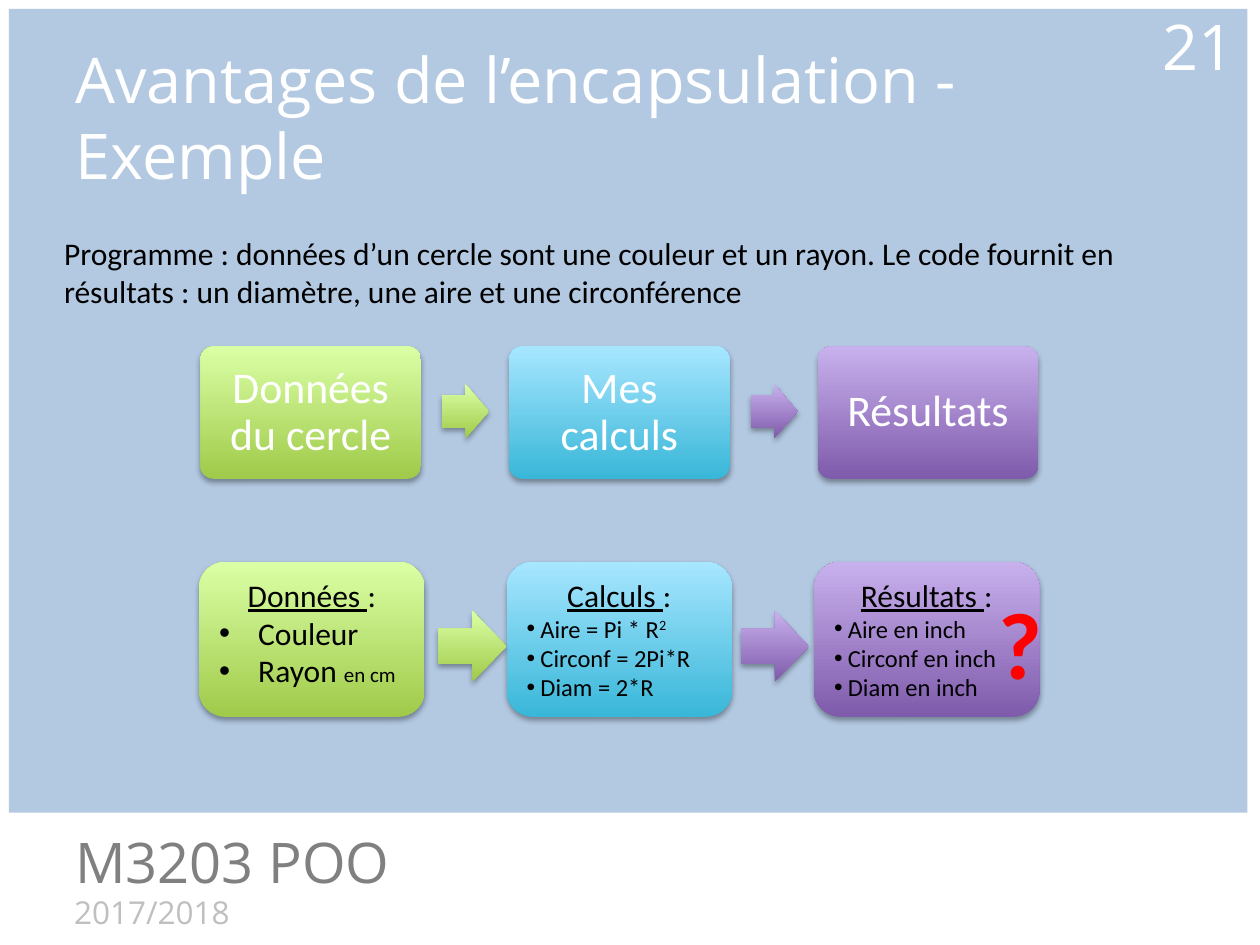
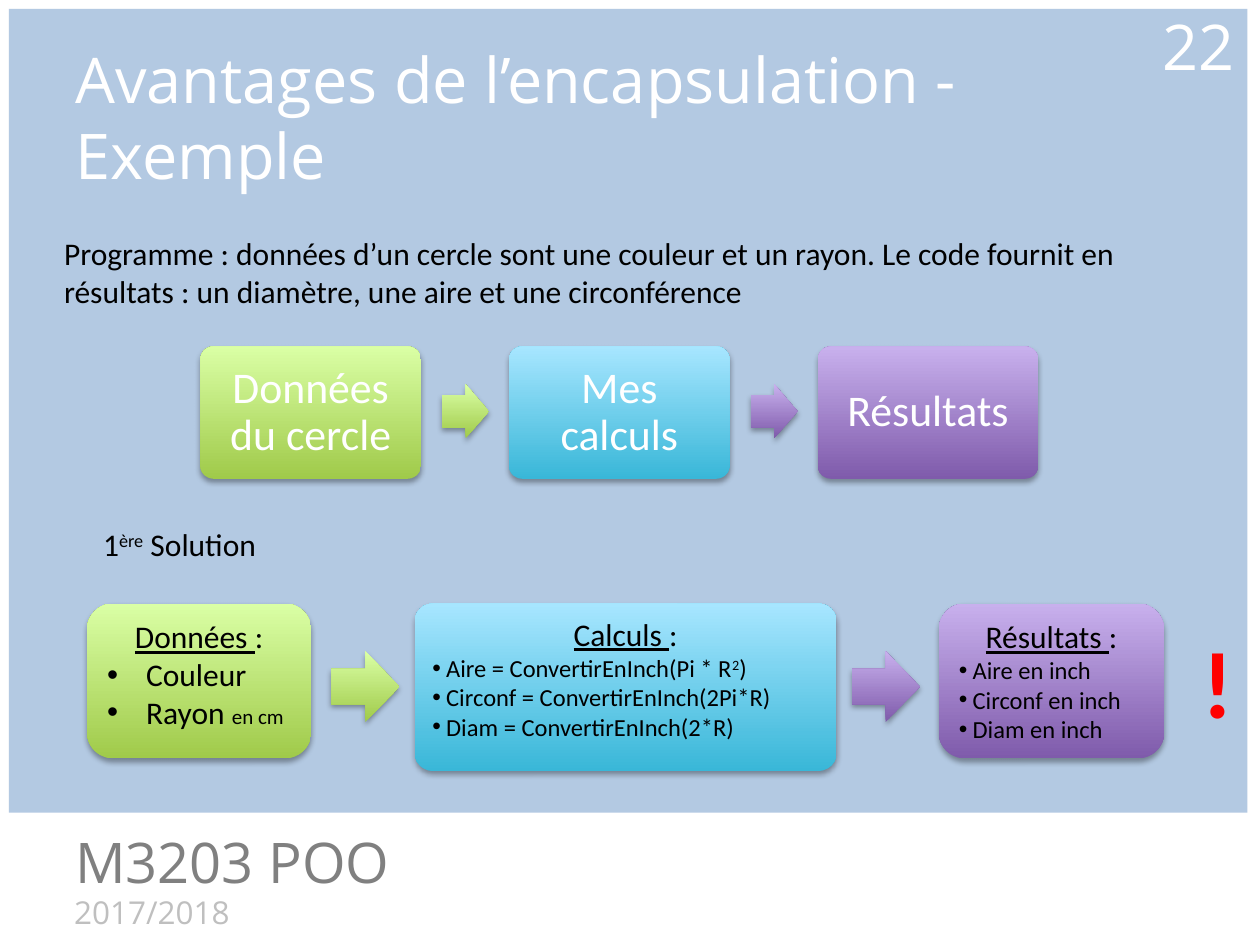
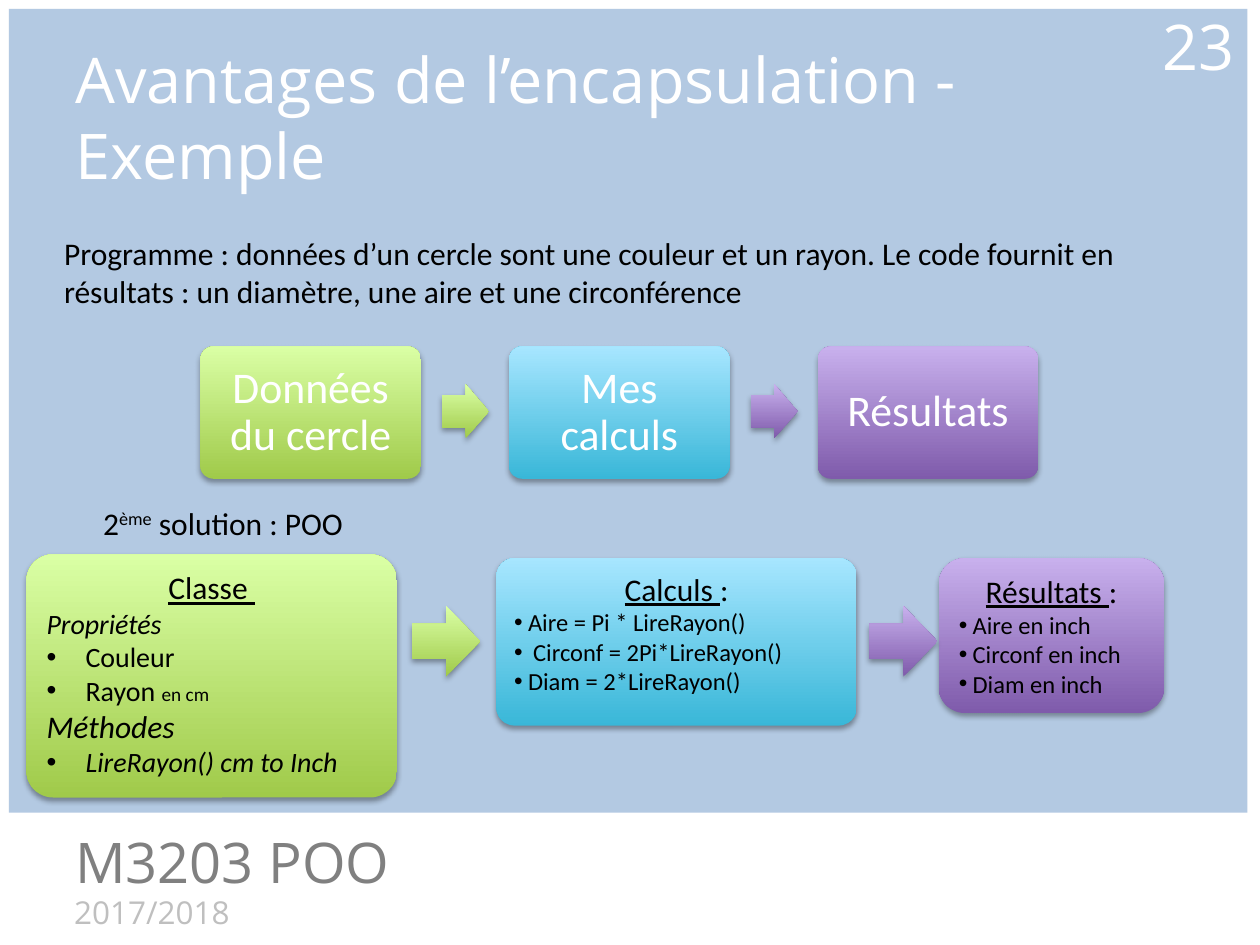
from dataclasses import dataclass
from typing import Optional

from lxml import etree
from pptx import Presentation
from pptx import util as u
from pptx.dml import color
from pptx.enum import shapes, text
from pptx.oxml import ns

SCALE = 9144  # EMU in one px, 100 px to the inch
BODY_FONT, TITLE_FONT = "Calibri", "Open Sans"
WHITE, BLACK, RED = "FFFFFF", "000000", "FF0000"
BAND, COURSE_GREY, YEAR_GREY = "95B3D7", "808080", "BFBFBF"
# Gradients, from bottom to top
GREEN = ("A0CA4A", "DAFFA5")
BLUE = ("39B7D8", "A7E6FF")
PURPLE = ("7F5BAB", "C8B0ED")
LEFT, CENTER, RIGHT = text.PP_ALIGN.LEFT, text.PP_ALIGN.CENTER, text.PP_ALIGN.RIGHT
TOP, MIDDLE = text.MSO_ANCHOR.TOP, text.MSO_ANCHOR.MIDDLE


def px(length):
    return u.Emu(length * SCALE)


def rgb(code):
    return color.RGBColor.from_string(code)


def add_xml(parent, tag, **attributes):
    return etree.SubElement(parent, ns.qn(tag), attributes)


@dataclass
class Line:
    """One paragraph; each span is a string or a (string, style) pair."""
    spans: list
    size: int = 18
    align: int = LEFT
    indent: int = 0  # hanging indent of a bullet, in px
    ink: str = BLACK
    font: str = BODY_FONT
    bold: Optional[bool] = None
    italic: Optional[bool] = None
    spacing: Optional[float] = None


class Slides:
    """Holds the deck, its style and the current page."""

    def __init__(self):
        self.deck = Presentation()
        self.deck.slide_width, self.deck.slide_height = px(1000), px(750)
        self.layout = self.deck.slide_layouts[5]
        self.page = None

    def new_page(self, title, number):
        first = self.page is None
        self.page = self.deck.slides.add_slide(self.layout)
        if first:
            self.dress_layout()
        box = self.page.shapes.title
        self.place(box, 50, 30, 900, 125)
        self.fill_text(box, [Line([title], 36, ink=WHITE, font=TITLE_FONT)], MIDDLE)
        self.text_box(863, 7, 127, 58,
                      Line([str(number)], 36, RIGHT, ink=WHITE, font=TITLE_FONT), MIDDLE)

    def dress_layout(self):
        """Put the band and the footers on the layout."""
        for holder in list(self.layout.placeholders):
            if holder.placeholder_format.idx:
                holder.element.getparent().remove(holder.element)
        band = self.shape(shapes.MSO_SHAPE.RECTANGLE, 7, 7, 983, 638)
        band.fill.solid()
        band.fill.fore_color.rgb = rgb(BAND)
        tint = band.element.find(".//" + ns.qn("a:srgbClr"))
        add_xml(tint, "a:alpha", val="71000")
        year = self.text_box(49, 704, 400, 40,
                             Line(["2017/2018"], ink=YEAR_GREY, font=TITLE_FONT))
        course = self.text_box(50, 652, 512, 64,
                               Line(["M3203 POO"], 32, ink=COURSE_GREY, font=TITLE_FONT))
        for part in (band, year, course):
            self.layout.shapes.element.append(part.element)

    def place(self, box, x, y, width, height):
        box.left, box.top, box.width, box.height = map(px, (x, y, width, height))

    def fill_text(self, box, lines, anchor=TOP, wrap=True):
        frame = box.text_frame
        frame.auto_size = text.MSO_AUTO_SIZE.NONE
        frame.word_wrap, frame.vertical_anchor = wrap, anchor
        for index, line in enumerate(lines):
            para = frame.add_paragraph() if index else frame.paragraphs[0]
            para.alignment = line.align
            if line.spacing:
                para.line_spacing = line.spacing
            if line.indent:
                props = para._p.get_or_add_pPr()
                props.set("marL", str(px(line.indent)))
                props.set("indent", str(px(-line.indent)))
                add_xml(props, "a:buFont", typeface="Arial")
                add_xml(props, "a:buChar", char="•")
            font = para.font
            font.name, font.size = line.font, u.Pt(line.size)
            font.bold, font.italic = line.bold, line.italic
            font.color.rgb = rgb(line.ink)
            for item in line.spans:
                words, style = (item, {}) if isinstance(item, str) else item
                span = para.add_run()
                span.text = words
                if "size" in style:
                    span.font.size = u.Pt(style["size"])
                if "underline" in style:
                    span.font.underline = True
                if "raised" in style:
                    span._r.get_or_add_rPr().set("baseline", "30000")

    def text_box(self, x, y, width, height, line, anchor=TOP, wrap=True):
        box = self.page.shapes.add_textbox(*map(px, (x, y, width, height)))
        self.fill_text(box, [line], anchor, wrap)
        return box

    def shape(self, kind, x, y, width, height, adjust=()):
        box = self.page.shapes.add_shape(kind, *map(px, (x, y, width, height)))
        for index, value in enumerate(adjust):
            box.adjustments[index] = value
        box.line.fill.background()
        box.shadow.inherit = False
        return box

    def glossy(self, kind, at, shades, adjust=()):
        """A shape with a vertical gradient and a soft shadow below."""
        box = self.shape(kind, *at, adjust)
        box.fill.gradient()
        box.fill.gradient_angle = 90
        for stop, shade in zip(box.fill.gradient_stops, shades):
            stop.color.rgb = rgb(shade)
        effects = box.element.spPr.find(ns.qn("a:effectLst"))
        shadow = add_xml(effects, "a:outerShdw", blurRad="40000", dist="23000",
                         dir="5400000", rotWithShape="0")
        add_xml(add_xml(shadow, "a:srgbClr", val=BLACK), "a:alpha", val="35000")
        return box

    def card(self, at, shades, lines, corner=0.17, anchor=TOP):
        box = self.glossy(shapes.MSO_SHAPE.ROUNDED_RECTANGLE, at, shades, (corner,))
        self.fill_text(box, lines, anchor)

    def arrow(self, at, shades, shaft=0.5):
        self.glossy(shapes.MSO_SHAPE.RIGHT_ARROW, at, shades, (shaft, 0.5))

    def mark(self, x, y, width, sign):
        self.text_box(x, y, width, 101, Line([sign], 54, CENTER, ink=RED, bold=True),
                      wrap=False)

    def caption(self, y, width, rank, ending, rest):
        self.text_box(72, y, width, 40, Line([rank, (ending, {"raised": True}), rest]),
                      wrap=False)


# Paragraph kinds used in the cards
def heading(words, colon=":"):
    spans = [(words + " ", {"underline": True})]
    return Line(spans + [colon] if colon else spans, align=CENTER)


def point(*spans, size=18, italic=None):
    return Line(list(spans), size, indent=31, italic=italic)


def formula(*spans, indent=11):
    return Line(list(spans), 14, indent=indent)


SQUARE = ("2", {"raised": True})
DATA = [heading("Données"), point("Couleur"), point("Rayon ", ("en cm", {"size": 12}))]
RESULTS = [heading("Résultats"), formula("Aire en inch"),
           formula("Circonf en inch"), formula("Diam en inch")]


def example_page(slides, number):
    """The part common to the three pages: the statement and the upper flow."""
    slides.new_page("Avantages de l’encapsulation - Exemple", number)
    slides.text_box(41, 181, 865, 71, Line([
        "Programme : données d’un cercle sont une couleur et un rayon. "
        "Le code fournit en résultats : un diamètre, une aire et une circonférence"]))
    steps = [("Données du cercle", GREEN), ("Mes calculs", BLUE), ("Résultats", PURPLE)]
    for index, (words, shades) in enumerate(steps):
        label = Line([words], 25, CENTER, ink=WHITE, spacing=0.9)
        slides.card((159 + 245 * index, 275, 175, 105), shades, [label], 0.1, MIDDLE)
    for index, shades in enumerate((GREEN, PURPLE)):
        slides.arrow((351 + 245 * index, 305, 37, 43), shades, 0.6)


def lower_arrows(slides, y, *lefts):
    for x, shades in zip(lefts, (GREEN, PURPLE)):
        slides.arrow((x, y, 54, 56), shades)


def main():
    slides = Slides()

    # The problem: results in another unit
    example_page(slides, 21)
    slides.card((158, 446, 179, 123), GREEN, DATA)
    slides.card((402, 446, 179, 123), BLUE, [
        heading("Calculs"), formula("Aire = Pi * R", SQUARE),
        formula("Circonf = 2Pi*R"), formula("Diam = 2*R")])
    slides.card((646, 446, 179, 123), PURPLE, RESULTS)
    lower_arrows(slides, 485, 348, 588)
    slides.mark(782, 459, 55, "?")

    # First solution: convert in each formula
    example_page(slides, 22)
    slides.card((69, 479, 178, 123), GREEN, DATA)
    slides.card((329, 479, 335, 133), BLUE, [
        heading("Calculs"), formula("Aire = ConvertirEnInch(Pi * R", SQUARE, ")"),
        formula("Circonf = ConvertirEnInch(2Pi*R)"),
        formula("Diam = ConvertirEnInch(2*R)")], 0.11)
    slides.card((745, 479, 179, 123), PURPLE, RESULTS)
    lower_arrows(slides, 517, 263, 676)
    slides.mark(944, 490, 45, "!")
    slides.caption(412, 146, "1", "ère", " Solution")

    # Second solution: a class with a method
    example_page(slides, 23)
    slides.card((21, 440, 294, 193), GREEN, [
        heading("Classe", ""), Line(["Propriétés"], 16, italic=True),
        point("Couleur", size=16), point("Rayon ", ("en cm", {"size": 11}), size=16),
        Line(["Méthodes"], italic=True),
        point("LireRayon() cm to Inch", size=16, italic=True)], 0.11)
    slides.card((394, 443, 286, 133), BLUE, [
        heading("Calculs"), formula("Aire = Pi * LireRayon()"),
        formula("Circonf = 2Pi*LireRayon()", indent=15),
        formula("Diam = 2*LireRayon()")], 0.11)
    slides.card((745, 443, 179, 123), PURPLE, RESULTS)
    lower_arrows(slides, 481, 327, 690)
    slides.caption(395, 216, "2", "ème", " solution : POO")

    slides.deck.save("out.pptx")


if __name__ == "__main__":
    main()
